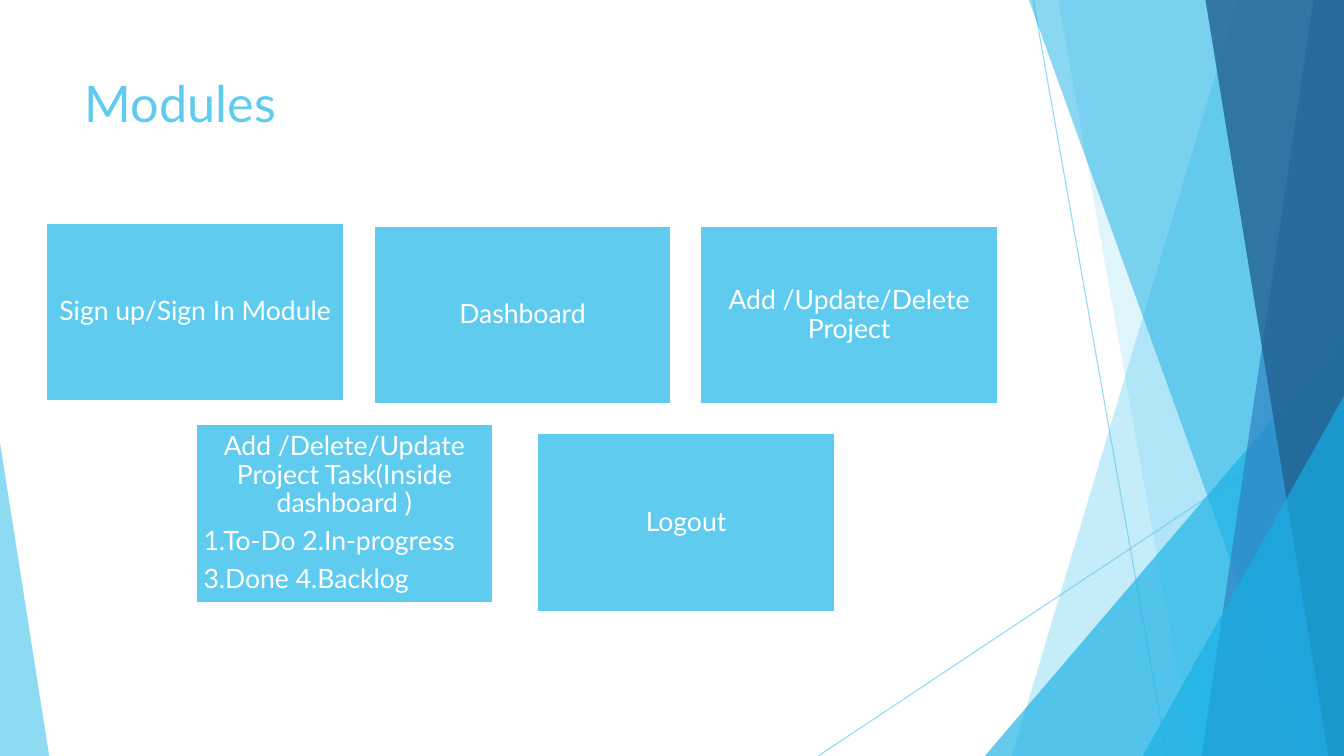
from dataclasses import dataclass

from lxml import etree
from pptx import Presentation
from pptx.dml.color import RGBColor
from pptx.enum.shapes import MSO_CONNECTOR, MSO_SHAPE
from pptx.enum.text import MSO_ANCHOR, MSO_AUTO_SIZE, PP_ALIGN
from pptx.oxml.ns import qn
from pptx.util import Cm, Pt

STRAIGHT = MSO_CONNECTOR.STRAIGHT
RECTANGLE, TRIANGLE = MSO_SHAPE.RECTANGLE, MSO_SHAPE.ISOSCELES_TRIANGLE
TOP, MIDDLE = MSO_ANCHOR.TOP, MSO_ANCHOR.MIDDLE
LEFT, CENTER = PP_ALIGN.LEFT, PP_ALIGN.CENTER
NO_AUTO_SIZE = MSO_AUTO_SIZE.NONE
TITLE_ONLY = 5

PAGE_WIDTH, PAGE_HEIGHT = 33.87, 19.05
MODULE_WIDTH, MODULE_HEIGHT = 7.5, 4.5


@dataclass(frozen=True)
class Theme:
    font: str = "Lato"
    title_size: float = 36
    module_size: float = 19
    sky: str = "5FCBEF"
    cyan: str = "17B0E4"
    blue: str = "2E83C3"
    navy: str = "226292"
    white: str = "FFFFFF"


THEME = Theme()


@dataclass(frozen=True)
class Ray:
    """A thin line between two points."""
    start: tuple[float, float]
    end: tuple[float, float]


@dataclass(frozen=True)
class Band:
    """A full-height area from a slanted left edge to the right page edge."""
    top_x: float
    bottom_x: float
    color: str
    opacity: int


@dataclass(frozen=True)
class Corner:
    """A right triangle on the bottom edge, with its apex at the left (0) or right (1)."""
    left: float
    top: float
    width: float
    apex: float
    color: str
    opacity: int


@dataclass(frozen=True)
class Module:
    left: float
    top: float
    heading: str
    details: tuple[str, ...] = ()


RAYS = [
    Ray((26.04, 0), (29.41, PAGE_HEIGHT)),
    Ray((PAGE_WIDTH, 10.24), (20.62, PAGE_HEIGHT)),
]
FACETS = [
    Band(31.19, 25.5, THEME.sky, 36),
    Band(26.67, 30.05, THEME.sky, 20),
    Corner(24.82, 8.46, 9.05, 1, THEME.cyan, 66),
    Band(25.93, 32.79, THEME.cyan, 50),
    Band(33.1, 30.28, THEME.blue, 70),
    Band(30.38, 33.48, THEME.navy, 80),
    Corner(28.8, 9.98, 5.07, 1, THEME.cyan, 66),
    Corner(0, 11.15, 1.24, 0, THEME.sky, 70),
]
MODULES = [
    Module(1.17, 5.61, "Sign up/Sign In Module"),
    Module(9.42, 5.69, "Dashboard"),
    Module(17.65, 5.69, "Add /Update/Delete Project"),
    Module(4.93, 10.69, "Add /Delete/Update Project Task(Inside dashboard )",
           ("1.To-Do 2.In-progress", "3.Done 4.Backlog")),
    Module(13.54, 10.92, "Logout"),
]


def set_attributes(target, values: dict) -> None:
    for name, value in values.items():
        setattr(target, name, value)


def paint(fill, color: str) -> None:
    fill.solid()
    fill.fore_color.rgb = RGBColor.from_string(color)


def set_opacity(shape, percent: int) -> None:
    """Make the first colour of the shape, its fill or line, see-through."""
    color = next(shape._element.spPr.iter(qn("a:srgbClr")))
    etree.SubElement(color, qn("a:alpha")).set("val", str(percent * 1000))


def write(para, text: str, size: float, color: str) -> None:
    span = para.add_run()
    span.text = text
    set_attributes(span.font, {"name": THEME.font, "size": Pt(size)})
    span.font.color.rgb = RGBColor.from_string(color)


def draw_ray(page, ray: Ray) -> None:
    line = page.shapes.add_connector(STRAIGHT, *map(Cm, ray.start + ray.end))
    paint(line.line.fill, THEME.sky)
    line.line.width = Pt(0.75)
    set_opacity(line, 70)
    etree.SubElement(line._element.spPr, qn("a:effectLst"))


def add_band(page, band: Band):
    builder = page.shapes.build_freeform(Cm(band.top_x), 0)
    corners = [(PAGE_WIDTH, 0), (PAGE_WIDTH, PAGE_HEIGHT), (band.bottom_x, PAGE_HEIGHT)]
    builder.add_line_segments([(Cm(x), Cm(y)) for x, y in corners])
    return builder.convert_to_shape()


def add_corner(page, corner: Corner):
    frame = (corner.left, corner.top, corner.width, PAGE_HEIGHT - corner.top)
    shape = page.shapes.add_shape(TRIANGLE, *map(Cm, frame))
    shape.adjustments[0] = corner.apex
    return shape


def draw_facet(page, facet: Band | Corner) -> None:
    add = add_band if isinstance(facet, Band) else add_corner
    shape = add(page, facet)
    shape.shadow.inherit = False
    paint(shape.fill, facet.color)
    shape.line.fill.background()
    set_opacity(shape, facet.opacity)


def draw_module(page, module: Module) -> None:
    frame = (module.left, module.top, MODULE_WIDTH, MODULE_HEIGHT)
    box = page.shapes.add_shape(RECTANGLE, *map(Cm, frame))
    box.shadow.inherit = False
    paint(box.fill, THEME.sky)
    paint(box.line.fill, THEME.white)
    box.line.width = Pt(1.5)
    text = box.text_frame
    margins = {f"margin_{side}": Cm(0.2) for side in ("left", "top", "right", "bottom")}
    set_attributes(text, {"word_wrap": True, "vertical_anchor": MIDDLE, **margins})
    for index, line in enumerate((module.heading, *module.details)):
        para = text.add_paragraph() if index else text.paragraphs[0]
        set_attributes(para, {
            "alignment": LEFT if index else CENTER,
            "line_spacing": 0.9,
            "space_after": Pt(0.35 * THEME.module_size),
        })
        write(para, line, THEME.module_size, THEME.white)


def fill_title(page, text: str) -> None:
    title = page.shapes.title
    set_attributes(title, {"left": Cm(1.88), "top": Cm(1.7),
                           "width": Cm(23.88), "height": Cm(2.03)})
    set_attributes(title.text_frame, {"word_wrap": True, "vertical_anchor": TOP,
                                      "auto_size": NO_AUTO_SIZE})
    para = title.text_frame.paragraphs[0]
    para.alignment = LEFT
    write(para, text, THEME.title_size, THEME.sky)


def main() -> None:
    deck = Presentation()
    set_attributes(deck, {"slide_width": Cm(PAGE_WIDTH), "slide_height": Cm(PAGE_HEIGHT)})
    page = deck.slides.add_slide(deck.slide_layouts[TITLE_ONLY])
    for ray in RAYS:
        draw_ray(page, ray)
    for facet in FACETS:
        draw_facet(page, facet)
    fill_title(page, "Modules")
    for module in MODULES:
        draw_module(page, module)
    deck.save("out.pptx")


if __name__ == "__main__":
    main()
